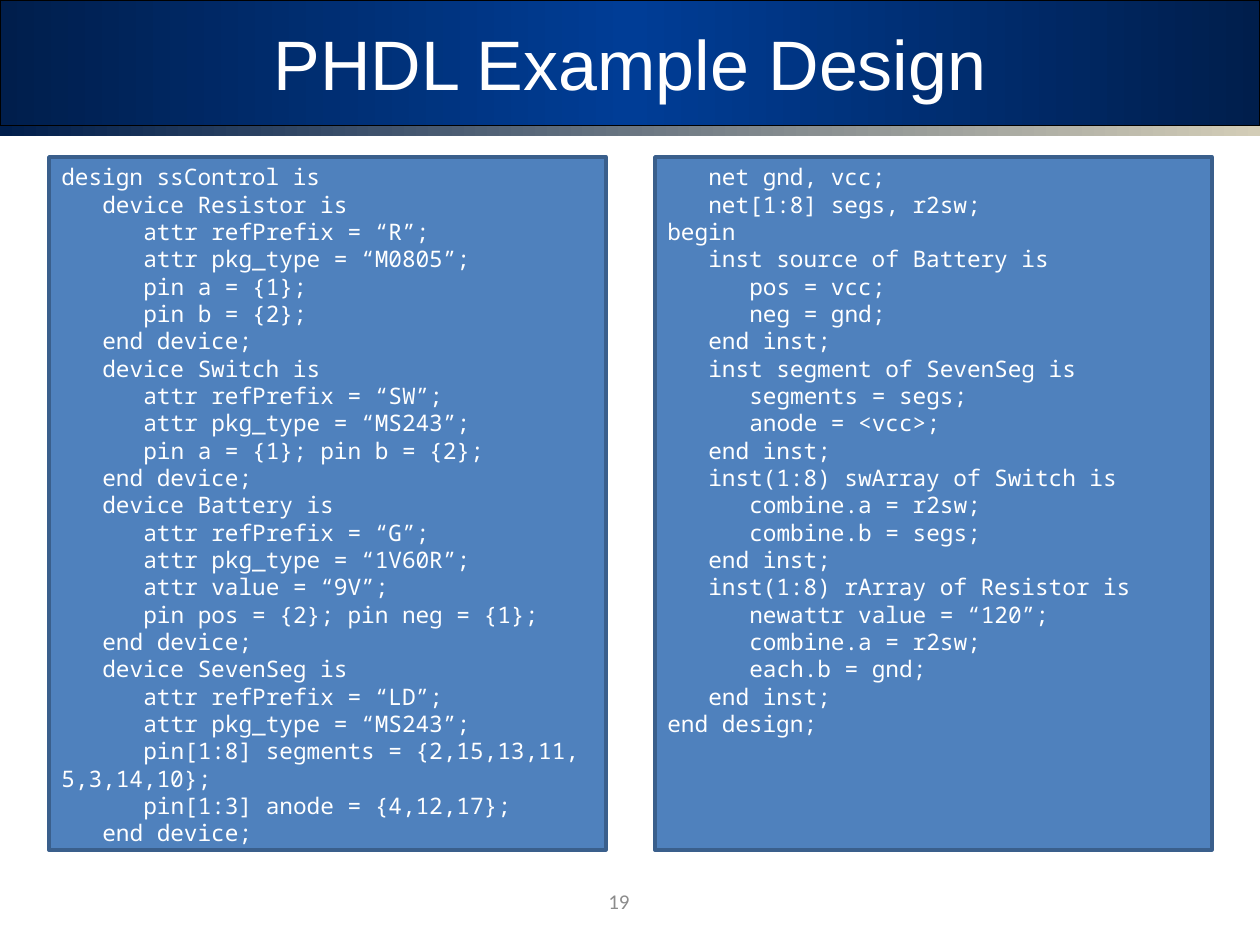
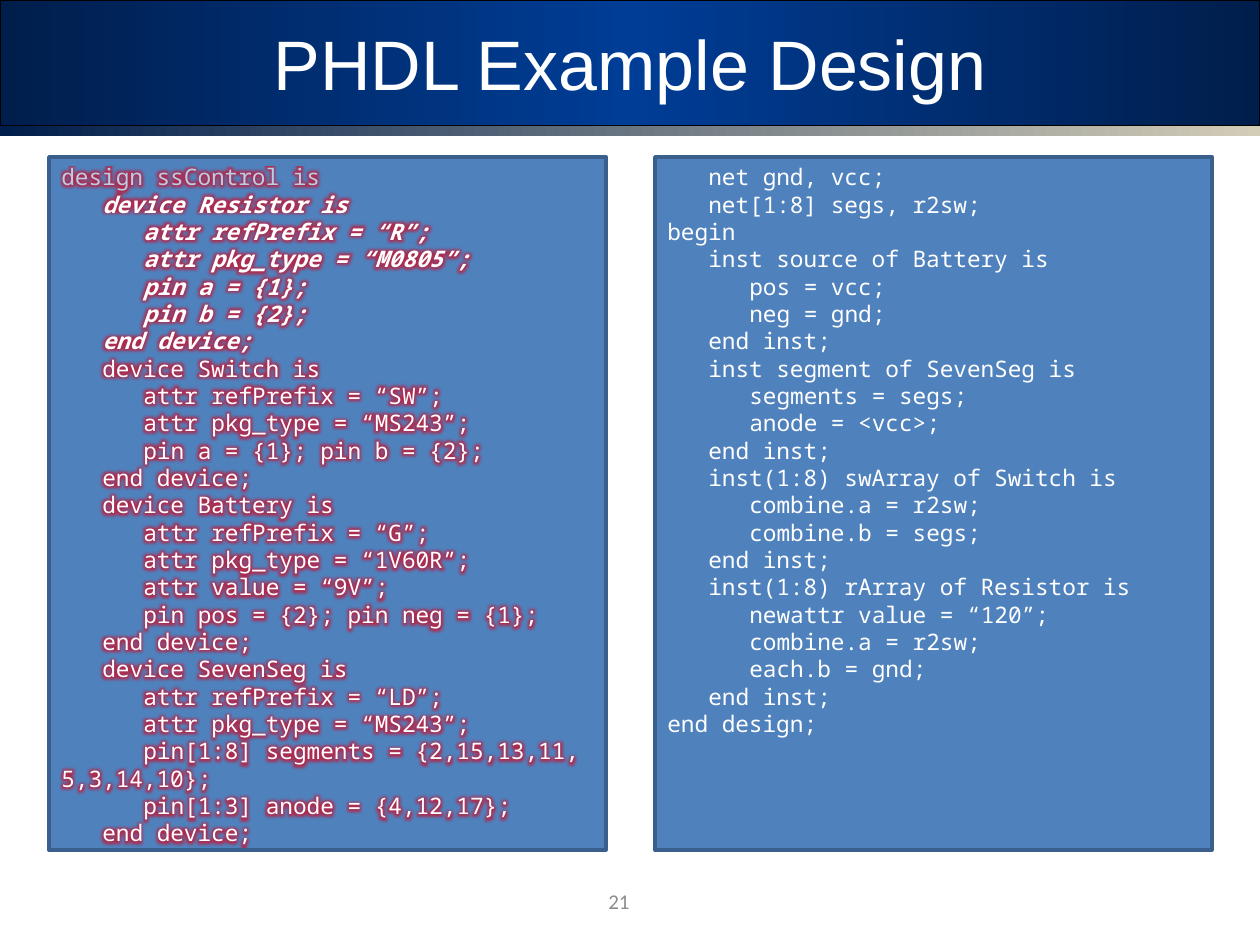
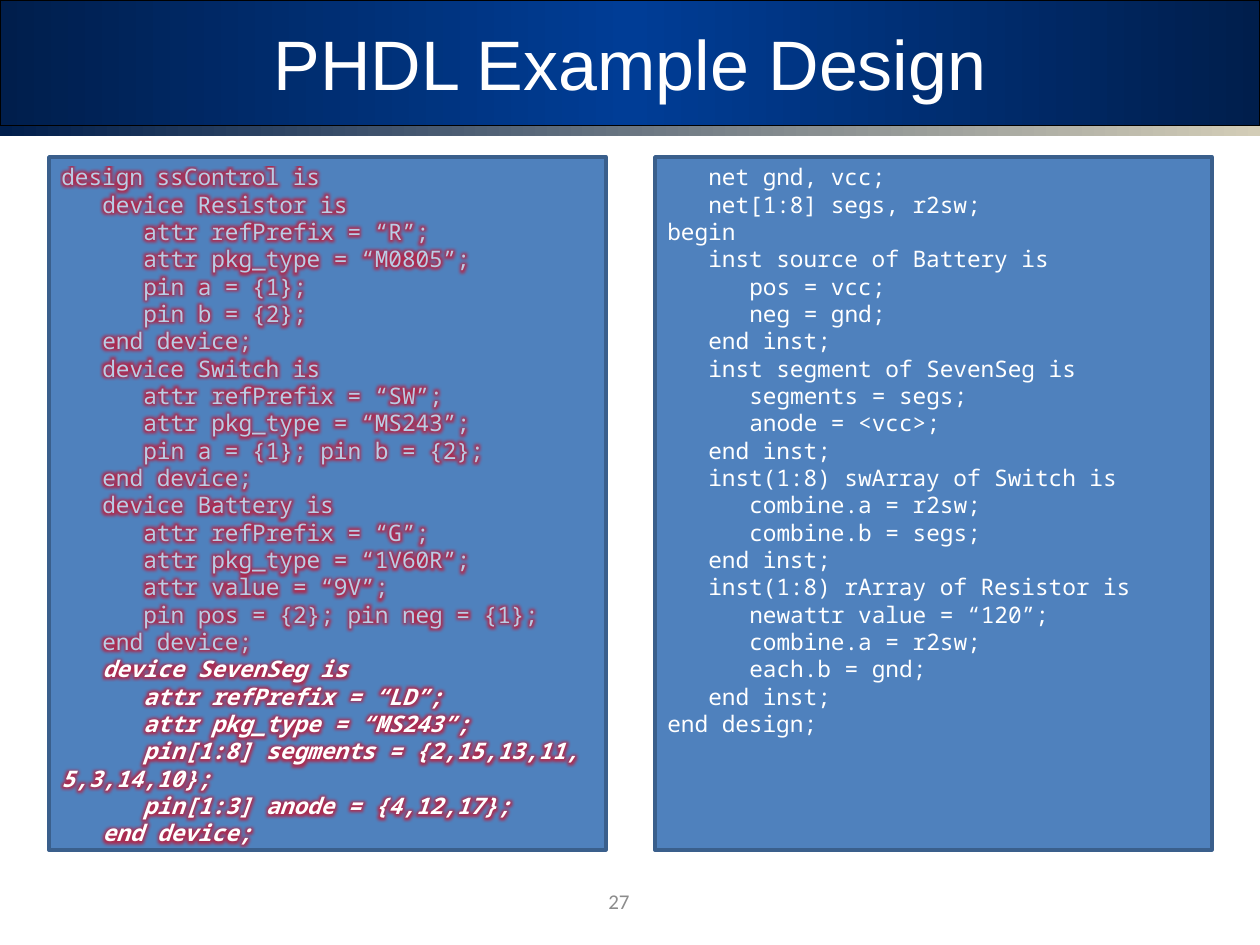
from copy import deepcopy

from lxml import etree
from pptx import Presentation
from pptx.dml.color import RGBColor
from pptx.enum import shapes, text
from pptx.oxml.ns import qn
from pptx.util import Pt

# Content
TITLE = "PHDL Example Design"
DEVICES = """
design ssControl is
   device Resistor is
      attr refPrefix = “R”;
      attr pkg_type = “M0805”;
      pin a = {1};
      pin b = {2};
   end device;
   device Switch is
      attr refPrefix = “SW”;
      attr pkg_type = “MS243”;
      pin a = {1}; pin b = {2};
   end device;
   device Battery is
      attr refPrefix = “G”;
      attr pkg_type = “1V60R”;
      attr value = “9V”;
      pin pos = {2}; pin neg = {1};
   end device;
   device SevenSeg is
      attr refPrefix = “LD”;
      attr pkg_type = “MS243”;
      pin[1:8] segments = {2,15,13,11, 5,3,14,10};
      pin[1:3] anode = {4,12,17};
   end device;
""".strip("\n").split("\n")
NETLIST = """
   net gnd, vcc;
   net[1:8] segs, r2sw;
begin
   inst source of Battery is
      pos = vcc;
      neg = gnd;
   end inst;
   inst segment of SevenSeg is
      segments = segs;
      anode = <vcc>;
   end inst;
   inst(1:8) swArray of Switch is
      combine.a = r2sw;
      combine.b = segs;
   end inst;
   inst(1:8) rArray of Resistor is
      newattr value = “120”;
      combine.a = r2sw;
      each.b = gnd;
   end inst;
end design;
""".strip("\n").split("\n")

# Page number, device under discussion (lines before it are dimmed)
PAGES = [("19", None), ("21", "Resistor"), ("27", "SevenSeg")]

# Shared look
COLORS = {
    "navy": "001E4C", "royal": "003D96", "sand": "D3CDB7", "black": "000000",
    "white": "FFFFFF", "number": "8C8C8C", "panel": "4F81BD",
    "border": "3A5F8C", "dimmed": "B9CDE5", "glow": "C8102E",
}
PX = 914400 // 126
WIDTH, HEIGHT = 1260, 945
BAND_HEIGHT, STRIP_HEIGHT = 126, 10
PANEL_LEFTS, PANEL_TOP, PANEL_WIDTH, PANEL_HEIGHT = (49, 655), 157, 557, 693
INDENT_SPACES, INDENT = 3, 41


def rgb(name):
    return RGBColor.from_string(COLORS[name])


def add_box(slide, kind, box, border=None, border_width=0):
    shape = slide.shapes.add_shape(kind, *(v * PX for v in box))
    shape.shadow.inherit = False
    if border:
        shape.line.color.rgb = rgb(border)
        shape.line.width = Pt(border_width)
    else:
        shape.line.fill.background()
    return shape


def fill_gradient(shape, names):
    shape.fill.gradient()
    shape.fill.gradient_angle = 0
    stops = shape.element.spPr.find(".//" + qn("a:gsLst"))
    for _ in names[2:]:
        stops.append(deepcopy(stops[-1]))
    for i, (stop, name) in enumerate(zip(shape.fill.gradient_stops, names)):
        stop.position = i / (len(names) - 1)
        stop.color.rgb = rgb(name)


def add_run(paragraph, words, font, size, color, strong=False, glow=False):
    run = paragraph.add_run()
    run.text = words
    run.font.size = Pt(size)
    run.font.color.rgb = rgb(color)
    run.font.bold = run.font.italic = strong
    if glow:
        effects = etree.SubElement(run.font._element, qn("a:effectLst"))
        halo = etree.SubElement(effects, qn("a:glow"), rad=str(Pt(5)))
        tint = etree.SubElement(halo, qn("a:srgbClr"), val=COLORS["glow"])
        etree.SubElement(tint, qn("a:alpha"), val="75000")
    run.font.name = font


def add_label(slide, box, words, font, size, color):
    frame = slide.shapes.add_textbox(*(v * PX for v in box)).text_frame
    frame.word_wrap = True
    frame.vertical_anchor = text.MSO_ANCHOR.MIDDLE
    frame.paragraphs[0].alignment = text.PP_ALIGN.CENTER
    add_run(frame.paragraphs[0], words, font, size, color)


def add_frame(slide, number):
    band = add_box(slide, shapes.MSO_SHAPE.RECTANGLE,
                   (0, 0, WIDTH, BAND_HEIGHT), "black", 0.75)
    fill_gradient(band, ["navy", "royal", "navy"])
    strip = add_box(slide, shapes.MSO_SHAPE.ROUNDED_RECTANGLE,
                    (0, BAND_HEIGHT, WIDTH, STRIP_HEIGHT))
    strip.adjustments[0] = 0.02
    fill_gradient(strip, ["navy", "sand"])
    add_label(slide, (63, 0, 1134, BAND_HEIGHT), TITLE, "Arial", 40, "white")
    add_label(slide, (472, 876, 294, 50), number, "Calibri", 12, "number")


def add_code(slide, left, lines, topic=None):
    panel = add_box(slide, shapes.MSO_SHAPE.RECTANGLE,
                    (left, PANEL_TOP, PANEL_WIDTH, PANEL_HEIGHT), "border", 2)
    panel.fill.solid()
    panel.fill.fore_color.rgb = rgb("panel")
    frame = panel.text_frame
    frame.word_wrap = True
    frame.vertical_anchor = text.MSO_ANCHOR.TOP

    # The topic runs from its device line to the next "end device;"
    first = last = -1
    if topic:
        first = lines.index(f"   device {topic} is")
        last = lines.index("   end device;", first)

    for i, line in enumerate(lines):
        paragraph = frame.paragraphs[0] if i == 0 else frame.add_paragraph()
        paragraph.alignment = text.PP_ALIGN.LEFT
        words = line.lstrip()
        depth = (len(line) - len(words)) // INDENT_SPACES
        # Only the first line is indented; wrapped text returns to the margin
        properties = paragraph._p.get_or_add_pPr()
        properties.set("marL", "0")
        properties.set("indent", str(depth * INDENT * PX))
        add_run(paragraph, words, "Noto Sans Mono", 13,
                "dimmed" if i < first else "white",
                strong=topic is not None and first <= i <= last,
                glow=topic is not None)


def main():
    deck = Presentation()
    deck.slide_width, deck.slide_height = WIDTH * PX, HEIGHT * PX
    for number, topic in PAGES:
        slide = deck.slides.add_slide(deck.slide_layouts[6])
        add_frame(slide, number)
        add_code(slide, PANEL_LEFTS[0], DEVICES, topic)
        add_code(slide, PANEL_LEFTS[1], NETLIST)
    deck.save("out.pptx")


if __name__ == "__main__":
    main()
